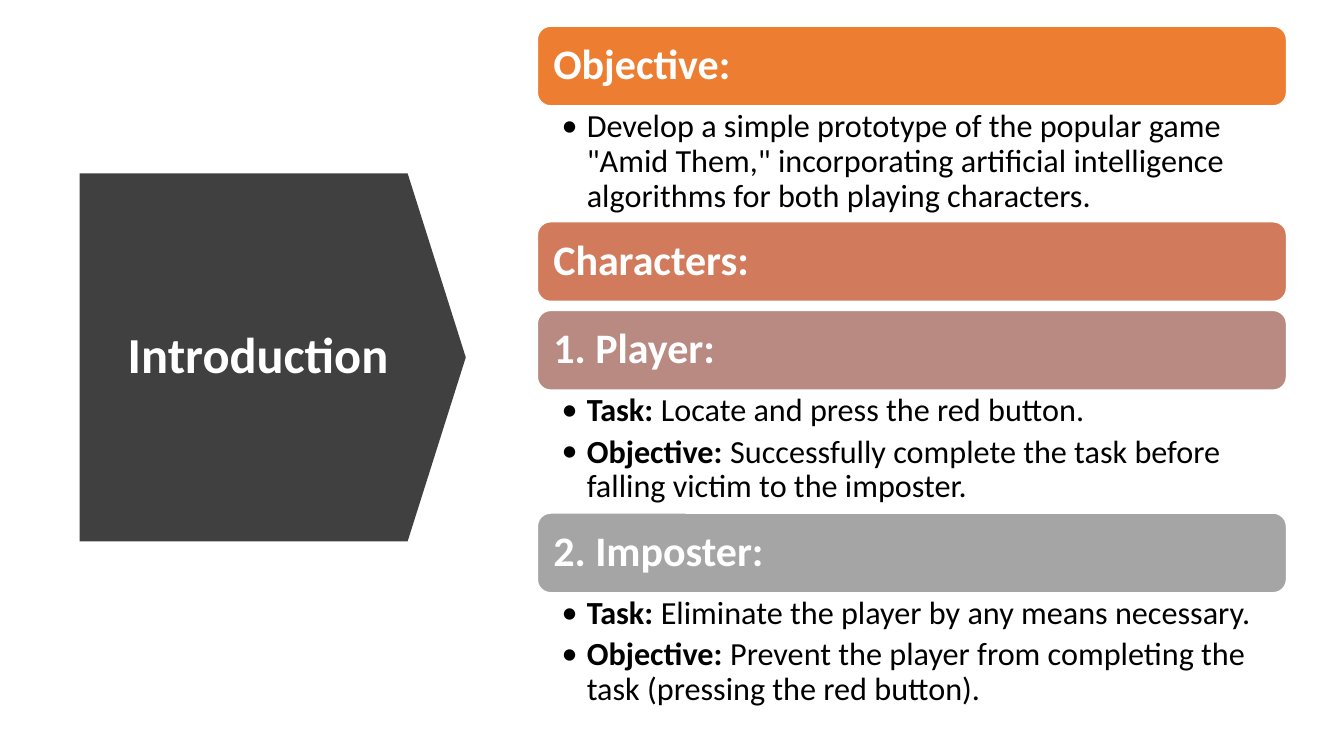
from lxml import etree
from pptx import Presentation
from pptx.dml.color import RGBColor
from pptx.enum.shapes import MSO_SHAPE
from pptx.enum.text import MSO_ANCHOR, PP_ALIGN
from pptx.oxml.ns import qn
from pptx.util import Inches, Pt

DOWN_ARROW = MSO_SHAPE.DOWN_ARROW
ROUNDED = MSO_SHAPE.ROUNDED_RECTANGLE
MIDDLE = MSO_ANCHOR.MIDDLE
LEFT, CENTER = PP_ALIGN.LEFT, PP_ALIGN.CENTER

WHITE = RGBColor(0xFF, 0xFF, 0xFF)
BLACK = RGBColor(0x00, 0x00, 0x00)
CHARCOAL = RGBColor(0x40, 0x40, 0x40)
ORANGE = RGBColor(0xED, 0x7D, 0x31)
TERRACOTTA = RGBColor(0xD1, 0x7B, 0x5C)
ROSE = RGBColor(0xB9, 0x8A, 0x82)
GRAY = RGBColor(0xA5, 0xA5, 0xA5)

FONT = "Calibri"
HEADING_HEIGHT = 0.79

SECTIONS = [
    ("Objective:", ORANGE, 1.15, [
        ("", 'Develop a simple prototype of the popular game "Amid Them," '
             "incorporating artificial intelligence algorithms for both "
             "playing characters."),
    ]),
    ("Characters:", TERRACOTTA, 0.09, []),
    ("1. Player:", ROSE, 1.22, [
        ("Task:", " Locate and press the red button."),
        ("Objective:", " Successfully complete the task before falling "
                       "victim to the imposter."),
    ]),
    ("2. Imposter:", GRAY, 1.22, [
        ("Task:", " Eliminate the player by any means necessary."),
        ("Objective:", " Prevent the player from completing the task "
                       "(pressing the red button)."),
    ]),
]


def inches(*lengths):
    return [Inches(length) for length in lengths]


def set_margins(frame, left, top, right, bottom):
    frame.word_wrap = True
    frame.margin_left, frame.margin_top = inches(left, top)
    frame.margin_right, frame.margin_bottom = inches(right, bottom)


def style_paragraph(paragraph, size, color, bold=None, align=LEFT):
    paragraph.alignment = align
    paragraph.line_spacing = 0.9
    font = paragraph.font
    font.name, font.size, font.bold = FONT, Pt(size), bold
    font.color.rgb = color


def add_bullet(paragraph):
    properties = paragraph._p.get_or_add_pPr()
    properties.set("marL", str(Inches(0.25)))
    properties.set("indent", str(-Inches(0.25)))
    etree.SubElement(properties, qn("a:buFont")).set("typeface", FONT)
    etree.SubElement(properties, qn("a:buChar")).set("char", "•")


def add_title(slide, left, top, width, height):
    arrow = slide.shapes.add_shape(
        DOWN_ARROW,
        *inches(left + (width - height) / 2, top + (height - width) / 2,
                height, width))
    arrow.rotation = 270
    arrow.adjustments[0], arrow.adjustments[1] = 1, 0.158
    arrow.shadow.inherit = False
    arrow.fill.solid()
    arrow.fill.fore_color.rgb = CHARCOAL
    arrow.line.fill.background()

    title = slide.shapes.add_textbox(
        *inches(left + 0.33, top + 0.43, 2.88, 2.79)).text_frame
    set_margins(title, 0.1, 0.05, 0.1, 0.05)
    title.vertical_anchor = MIDDLE
    title.text = "Introduction"
    style_paragraph(title.paragraphs[0], 36, WHITE, True, CENTER)


def add_heading(slide, text, color, left, top, width, height):
    banner = slide.shapes.add_shape(ROUNDED, *inches(left, top, width, height))
    banner.shadow.inherit = False
    banner.fill.solid()
    banner.fill.fore_color.rgb = color
    banner.line.color.rgb = WHITE
    banner.line.width = Pt(1)
    heading = banner.text_frame
    set_margins(heading, 0.12, 0.12, 0.12, 0.12)
    heading.vertical_anchor = MIDDLE
    heading.text = text
    style_paragraph(heading.paragraphs[0], 30, WHITE, True)


def add_points(slide, points, left, top, width, height):
    body = slide.shapes.add_textbox(
        *inches(left, top, width, height)).text_frame
    set_margins(body, 0.24, 0.04, 0.23, 0.04)
    for index, (label, detail) in enumerate(points):
        point = body.add_paragraph() if index else body.paragraphs[0]
        point.space_after = Pt(4.6)
        point.line_spacing = 0.9
        add_bullet(point)
        style_paragraph(point, 23, BLACK)
        if label:
            label_run = point.add_run()
            label_run.text = label
            label_run.font.bold = True
        point.add_run().text = detail


def add_sections(slide, left, top, width):
    for heading, color, body_height, points in SECTIONS:
        add_heading(slide, heading, color, left, top, width, HEADING_HEIGHT)
        top += HEADING_HEIGHT
        if points:
            add_points(slide, points, left, top, width, body_height)
        top += body_height


def main():
    presentation = Presentation()
    presentation.slide_width, presentation.slide_height = inches(13.33, 7.5)
    slide = presentation.slides.add_slide(presentation.slide_layouts[6])
    add_title(slide, 0.79, 1.72, 3.83, 3.65)
    add_sections(slide, 5.33, 0.26, 7.43)
    presentation.save("out.pptx")


if __name__ == "__main__":
    main()
